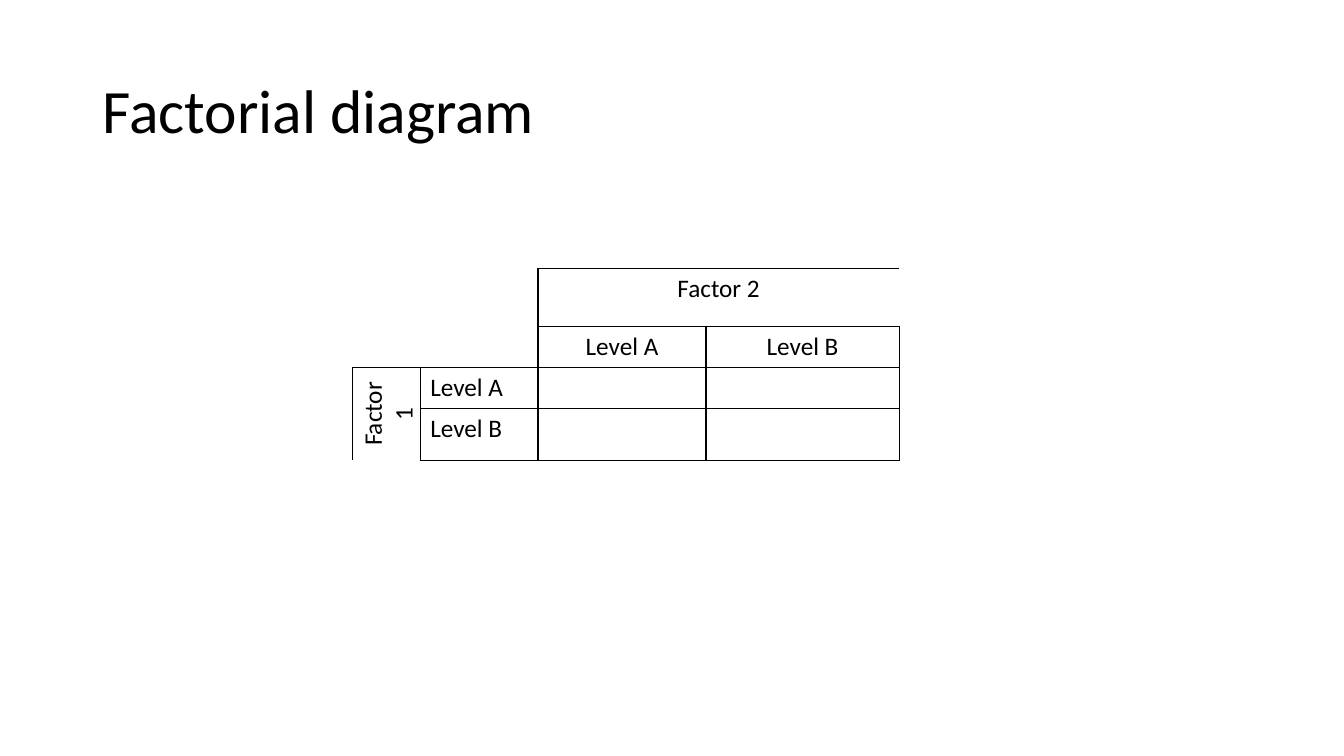
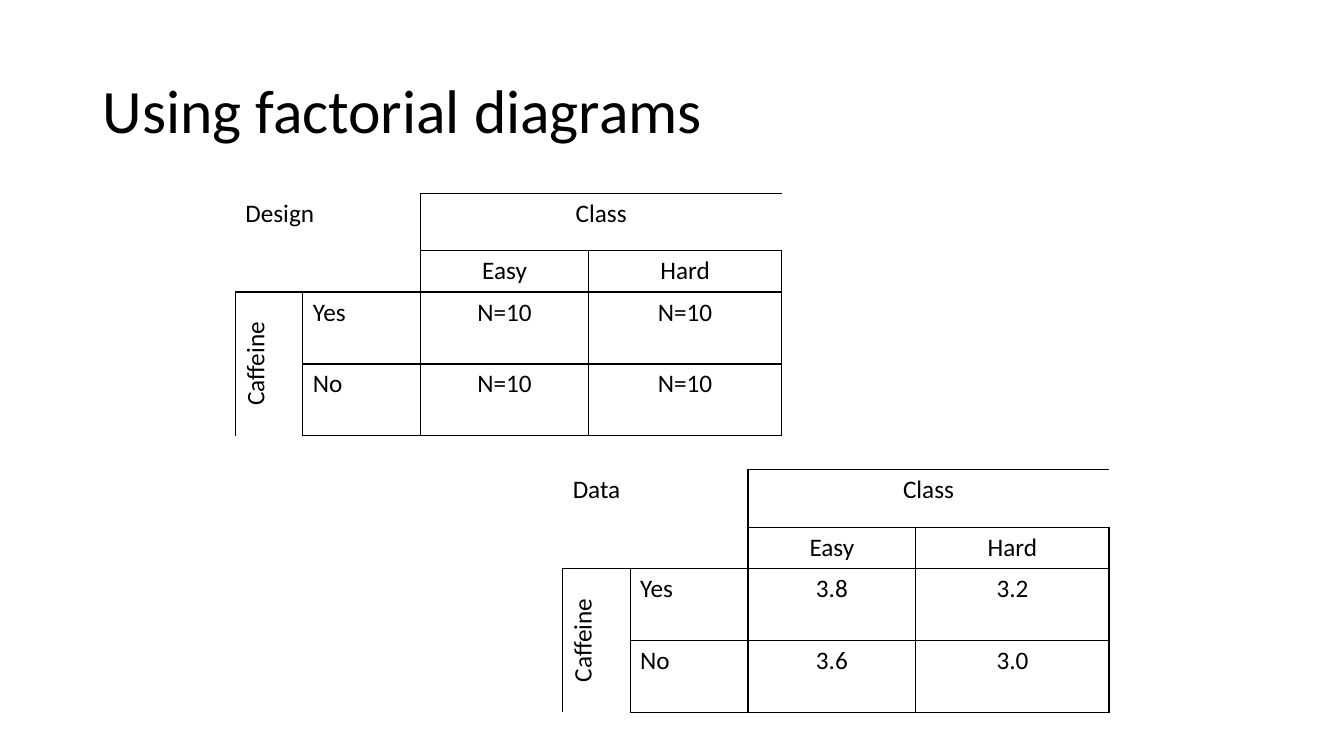
import dataclasses

import lxml.etree
import pptx
import pptx.dml.color
import pptx.enum.text
import pptx.oxml.ns
import pptx.util

Cm = pptx.util.Cm
Pt = pptx.util.Pt
Align = pptx.enum.text.PP_ALIGN
Anchor = pptx.enum.text.MSO_ANCHOR


@dataclasses.dataclass(frozen=True)
class Theme:
    font: str = "Calibri"
    ink: str = "000000"
    title_size: int = 44
    body_size: int = 18
    line_width: int = 1


@dataclasses.dataclass(frozen=True)
class Diagram:
    column_factor: str
    column_levels: tuple
    row_factor: str
    row_levels: tuple
    values: tuple = (("", ""), ("", ""))
    caption: str = ""


THEME = Theme()
COLUMN_WIDTHS = (1.7, 2.97, 4.23, 4.87)
HEADER_HEIGHTS = (1.45, 1.04)
NO_STYLE = "{2D5ABB26-0587-4C30-8999-92F81FD0307C}"
NEIGHBOURS = {"lnL": (0, -1), "lnR": (0, 1), "lnT": (-1, 0), "lnB": (1, 0)}


def add_run(paragraph, text, size):
    run = paragraph.add_run()
    run.text = text
    run.font.name = THEME.font
    run.font.size = Pt(size)
    run.font.color.rgb = pptx.dml.color.RGBColor.from_string(THEME.ink)


def add_titled_slide(presentation, title):
    slide = presentation.slides.add_slide(presentation.slide_layouts.get_by_name("Title Only"))
    shape = slide.shapes.title
    shape.left, shape.top = Cm(2.33), Cm(1.01)
    shape.width, shape.height = Cm(29.21), Cm(3.68)
    shape.text_frame.vertical_anchor = Anchor.MIDDLE
    paragraph = shape.text_frame.paragraphs[0]
    paragraph.alignment = Align.LEFT
    paragraph.line_spacing = 0.9
    add_run(paragraph, title, THEME.title_size)
    return slide


def block_of(row, column):
    if row < 2 and column < 2:
        return "corner"
    if row == 0 and column in (2, 3):
        return "column factor"
    if column == 0 and row in (2, 3):
        return "row factor"
    return row, column


def set_border(cell_properties, edge, visible):
    line = lxml.etree.SubElement(
        cell_properties, pptx.oxml.ns.qn(f"a:{edge}"), w=str(Pt(THEME.line_width))
    )
    if visible:
        fill = lxml.etree.SubElement(line, pptx.oxml.ns.qn("a:solidFill"))
        lxml.etree.SubElement(fill, pptx.oxml.ns.qn("a:srgbClr"), val=THEME.ink)
    else:
        lxml.etree.SubElement(line, pptx.oxml.ns.qn("a:noFill"))


def format_cell(cell, row, column):
    block = block_of(row, column)
    cell_properties = cell._tc.get_or_add_tcPr()
    for edge, (row_step, column_step) in NEIGHBOURS.items():
        neighbour_row, neighbour_column = row + row_step, column + column_step
        outside = min(neighbour_row, neighbour_column) < 0
        same_block = block_of(neighbour_row, neighbour_column) == block
        open_edge = block == "corner" and (outside or same_block)
        set_border(cell_properties, edge, not (open_edge or same_block))
    cell.fill.background()


def write_cell(cell, text, alignment):
    paragraph = cell.text_frame.paragraphs[0]
    paragraph.alignment = alignment
    if text:
        add_run(paragraph, text, THEME.body_size)
    else:
        paragraph.font.size = Pt(THEME.body_size)


def add_diagram(slide, diagram, left, top, level_heights):
    heights = HEADER_HEIGHTS + level_heights
    texts = [
        (diagram.caption, "", diagram.column_factor, ""),
        ("", "", *diagram.column_levels),
        (diagram.row_factor, diagram.row_levels[0], *diagram.values[0]),
        ("", diagram.row_levels[1], *diagram.values[1]),
    ]
    frame = slide.shapes.add_table(
        len(heights), len(COLUMN_WIDTHS), Cm(left), Cm(top),
        Cm(sum(COLUMN_WIDTHS)), Cm(sum(heights)),
    )
    table = frame.table
    table.first_row = table.horz_banding = False
    table._tbl.tblPr.find(pptx.oxml.ns.qn("a:tableStyleId")).text = NO_STYLE
    for column, width in zip(table.columns, COLUMN_WIDTHS):
        column.width = Cm(width)
    for row, height in zip(table.rows, heights):
        row.height = Cm(height)

    for row, row_texts in enumerate(texts):
        for column, text in enumerate(row_texts):
            cell = table.cell(row, column)
            level_or_caption = column == 1 or row == 0 and column == 0
            write_cell(cell, text, Align.LEFT if level_or_caption else Align.CENTER)
            format_cell(cell, row, column)

    table.cell(0, 2).merge(table.cell(0, 3))
    table.cell(2, 0).merge(table.cell(3, 0))
    table.cell(2, 0)._tc.get_or_add_tcPr().set("vert", "vert270")
    if diagram.caption:
        table.cell(0, 0).merge(table.cell(0, 1))


def add_template_slide(presentation):
    slide = add_titled_slide(presentation, "Factorial diagram")
    levels = ("Level A", "Level B")
    diagram = Diagram("Factor 2", levels, "Factor 1", levels)
    add_diagram(slide, diagram, 8.89, 6.77, (1.04, 1.3))


def add_usage_slide(presentation):
    slide = add_titled_slide(presentation, "Using factorial diagrams")
    examples = (
        ("Design", (("N=10", "N=10"), ("N=10", "N=10")), 5.93, 4.87),
        ("Data", (("3.8", "3.2"), ("3.6", "3.0")), 14.18, 11.84),
    )
    for caption, values, left, top in examples:
        diagram = Diagram(
            "Class", ("Easy", "Hard"), "Caffeine", ("Yes", "No"), values, caption
        )
        add_diagram(slide, diagram, left, top, (1.81, 1.81))


def main():
    presentation = pptx.Presentation()
    presentation.slide_width, presentation.slide_height = Cm(33.87), Cm(19.05)
    add_template_slide(presentation)
    add_usage_slide(presentation)
    presentation.save("out.pptx")


if __name__ == "__main__":
    main()
